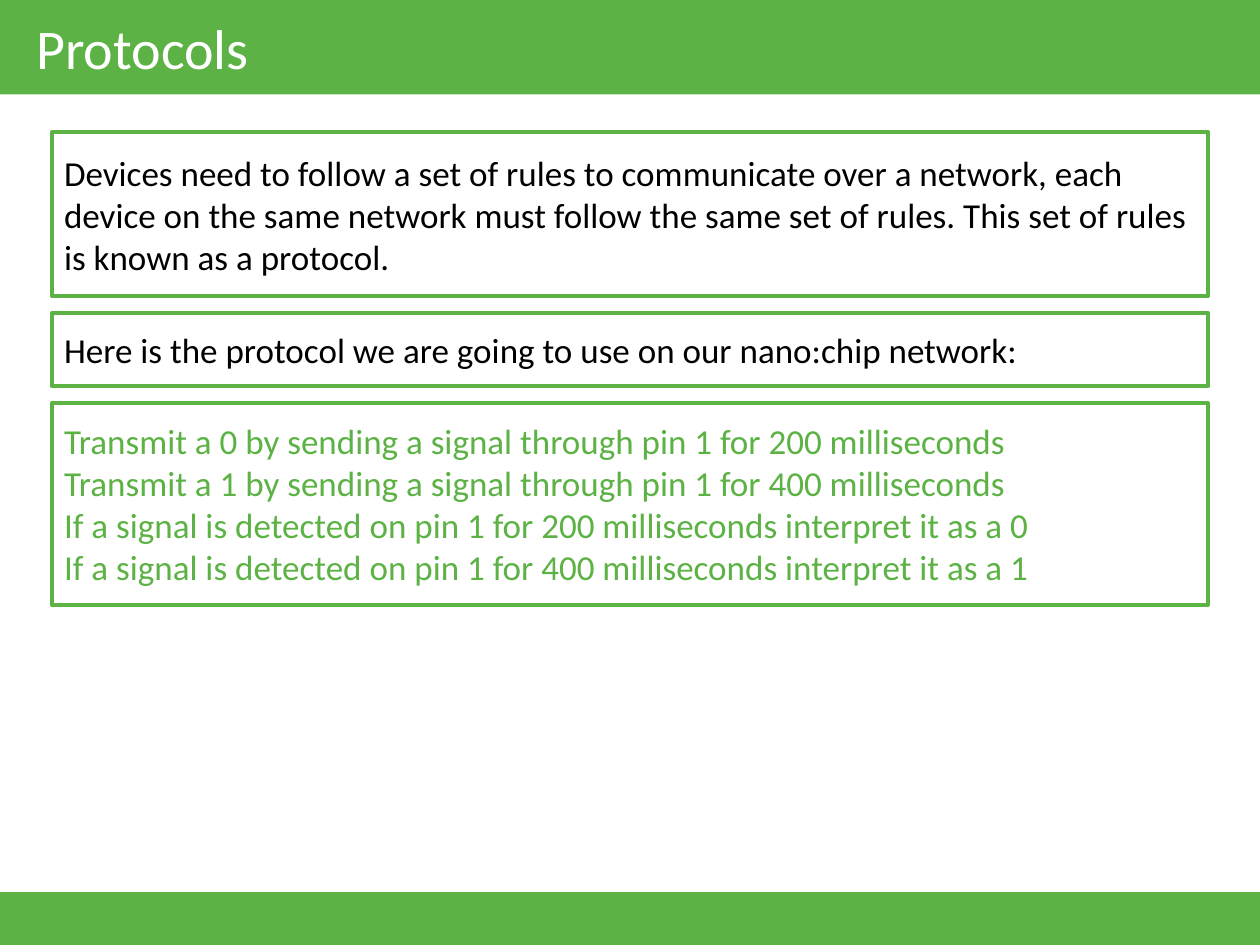
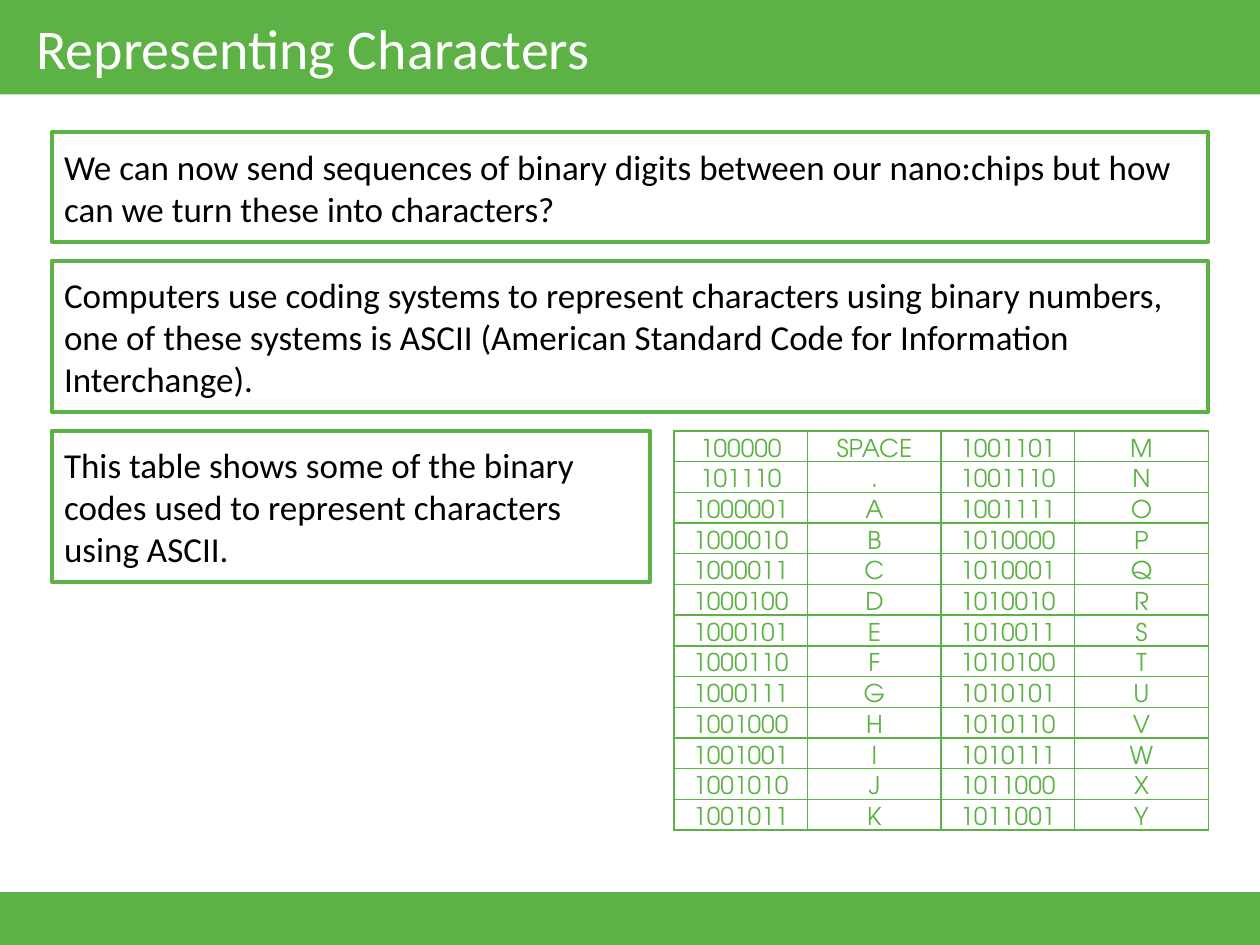
import dataclasses

import lxml.etree
import pptx
import pptx.dml.color
import pptx.enum.shapes
import pptx.enum.text
import pptx.oxml.ns
import pptx.util

GREEN = pptx.dml.color.RGBColor(0x5C, 0xB2, 0x44)
BLACK = pptx.dml.color.RGBColor(0x00, 0x00, 0x00)
WHITE = pptx.dml.color.RGBColor(0xFF, 0xFF, 0xFF)

SLIDE_WIDTH = pptx.util.Inches(10)
SLIDE_HEIGHT = pptx.util.Inches(7.5)
COLUMN = SLIDE_WIDTH / 100
ROW = SLIDE_HEIGHT / 150

TITLE_FORMAT = {"name": "Calibri", "size": pptx.util.Pt(32)}
BODY_FORMAT = {"name": "Calibri", "size": pptx.util.Pt(20)}
CODE_FORMAT = {"name": "TeX Gyre Adventor", "size": pptx.util.Pt(14)}
CELL_FORMAT = {
    "margin_left": pptx.util.Inches(0.01),
    "margin_right": pptx.util.Inches(0.01),
    "margin_top": pptx.util.Inches(0.01),
    "margin_bottom": 0,
    "vertical_anchor": pptx.enum.text.MSO_ANCHOR.BOTTOM,
}


@dataclasses.dataclass(frozen=True)
class Box:
    """An area in grid columns and rows."""

    left: float
    top: float
    width: float
    height: float

    def emu(self):
        """Return left, top, width and height as slide lengths."""
        return (
            round(self.left * COLUMN),
            round(self.top * ROW),
            round(self.width * COLUMN),
            round(self.height * ROW),
        )

    def stack(self, heights, gap):
        """Yield boxes of the given heights, from the top down."""
        top = self.top
        for height in heights:
            yield Box(self.left, top, self.width, height)
            top += height + gap


HEADER = Box(0, 0, 100, 15)
FOOTER = Box(0, 141.6, 100, 8.4)
CONTENT = Box(4.1, 21, 91.8, 120)
NOTE_WIDTH = 47.5
TABLE_WIDTH = 42.4
TABLE_HEIGHT = 54.2


def apply_format(target, values):
    """Set each attribute named in values."""
    for name, value in values.items():
        setattr(target, name, value)


def write_lines(frame, lines, font_format, color, margin_y):
    """Write left-aligned paragraphs, centred vertically in the frame."""
    margin_x = pptx.util.Inches(0.1)
    apply_format(frame, {
        "word_wrap": True,
        "vertical_anchor": pptx.enum.text.MSO_ANCHOR.MIDDLE,
        "margin_left": margin_x,
        "margin_right": margin_x,
        "margin_top": margin_y,
        "margin_bottom": margin_y,
    })
    frame.text = "\n".join(lines)
    for paragraph in frame.paragraphs:
        paragraph.alignment = pptx.enum.text.PP_ALIGN.LEFT
        apply_format(paragraph.font, font_format)
        paragraph.font.color.rgb = color


def add_rectangle(slide, box):
    """Add a plain rectangle without a shadow."""
    rectangle = slide.shapes.add_shape(
        pptx.enum.shapes.MSO_SHAPE.RECTANGLE, *box.emu())
    rectangle.shadow.inherit = False
    return rectangle


def add_band(slide, box):
    """Fill the box with the green band."""
    band = add_rectangle(slide, box)
    band.fill.solid()
    band.fill.fore_color.rgb = GREEN
    band.line.fill.background()


def add_statement(slide, box, lines, color=BLACK):
    """Add a green-outlined statement."""
    statement = add_rectangle(slide, box)
    statement.fill.background()
    statement.line.color.rgb = GREEN
    statement.line.width = pptx.util.Pt(2.25)
    write_lines(statement.text_frame, lines, BODY_FORMAT, color,
                pptx.util.Inches(0.05))


def add_titled_slide(deck, title):
    """Add a blank slide with both bands and its title."""
    slide = deck.slides.add_slide(deck.slide_layouts[6])
    add_band(slide, HEADER)
    add_band(slide, FOOTER)
    title_box = Box(HEADER.left + 1.9, HEADER.top, 90, HEADER.height)
    heading = slide.shapes.add_textbox(*title_box.emu())
    write_lines(heading.text_frame, [title], TITLE_FORMAT, WHITE,
                pptx.util.Inches(0.1))
    return slide


def outline_cell(cell):
    """Draw a thin green line on every side of the cell."""
    properties = cell._tc.get_or_add_tcPr()
    for index, side in enumerate(("lnL", "lnR", "lnT", "lnB")):
        border = lxml.etree.Element(
            pptx.oxml.ns.qn(f"a:{side}"), w=str(pptx.util.Pt(1)))
        fill = lxml.etree.SubElement(border, pptx.oxml.ns.qn("a:solidFill"))
        lxml.etree.SubElement(
            fill, pptx.oxml.ns.qn("a:srgbClr"), val=str(GREEN))
        properties.insert(index, border)


def add_ascii_table(slide, box, character_columns):
    """List binary codes beside their characters, in pairs of columns."""
    rows = list(zip(*character_columns))
    table = slide.shapes.add_table(
        len(rows), 2 * len(character_columns), *box.emu()).table
    apply_format(table, {"first_row": False, "horz_banding": False})
    for row_index, characters in enumerate(rows):
        entries = []
        for character in characters:
            label = "SPACE" if character == " " else character
            entries += [f"{ord(character):b}", label]
        for column_index, entry in enumerate(entries):
            cell = table.cell(row_index, column_index)
            cell.text = entry
            apply_format(cell, CELL_FORMAT)
            cell.fill.background()
            outline_cell(cell)
            paragraph = cell.text_frame.paragraphs[0]
            paragraph.alignment = pptx.enum.text.PP_ALIGN.CENTER
            apply_format(paragraph.font, CODE_FORMAT)
            paragraph.font.color.rgb = GREEN


def add_protocols(deck, content):
    """Explain protocols and give the rules of this one."""
    slide = add_titled_slide(deck, "Protocols")
    definition, introduction, rules = content.stack((26, 11.6, 32), 2.7)
    add_statement(slide, definition, [
        "Devices need to follow a set of rules to communicate over a network, "
        "each device on the same network must follow the same set of rules. "
        "This set of rules is known as a protocol."])
    add_statement(slide, introduction, [
        "Here is the protocol we are going to use on our nano:chip network:"])
    signals = ((0, 200), (1, 400))
    sending = [
        f"Transmit a {bit} by sending a signal through pin 1 "
        f"for {duration} milliseconds" for bit, duration in signals]
    receiving = [
        f"If a signal is detected on pin 1 for {duration} milliseconds "
        f"interpret it as a {bit}" for bit, duration in signals]
    add_statement(slide, rules, sending + receiving, GREEN)


def add_representing_characters(deck, content):
    """Introduce ASCII with a table of its codes."""
    slide = add_titled_slide(deck, "Representing Characters")
    question, coding, lower = content.stack((17.4, 24, TABLE_HEIGHT), 3)
    add_statement(slide, question, [
        "We can now send sequences of binary digits between our nano:chips "
        "but how can we turn these into characters?"])
    add_statement(slide, coding, [
        "Computers use coding systems to represent characters using binary "
        "numbers, one of these systems is ASCII (American Standard Code for "
        "Information Interchange)."])
    codes = Box(lower.left + lower.width - TABLE_WIDTH, lower.top,
                TABLE_WIDTH, lower.height)
    add_ascii_table(slide, codes, (" .ABCDEFGHIJK", "MNOPQRSTUVWXY"))
    note = Box(lower.left, lower.top, NOTE_WIDTH, coding.height)
    add_statement(slide, note, [
        "This table shows some of the binary codes used to represent "
        "characters using ASCII."])


def main():
    """Build and save both slides."""
    deck = pptx.Presentation()
    apply_format(deck, {"slide_width": SLIDE_WIDTH,
                        "slide_height": SLIDE_HEIGHT})
    add_protocols(deck, CONTENT)
    add_representing_characters(deck, CONTENT)
    deck.save("out.pptx")


if __name__ == "__main__":
    main()
